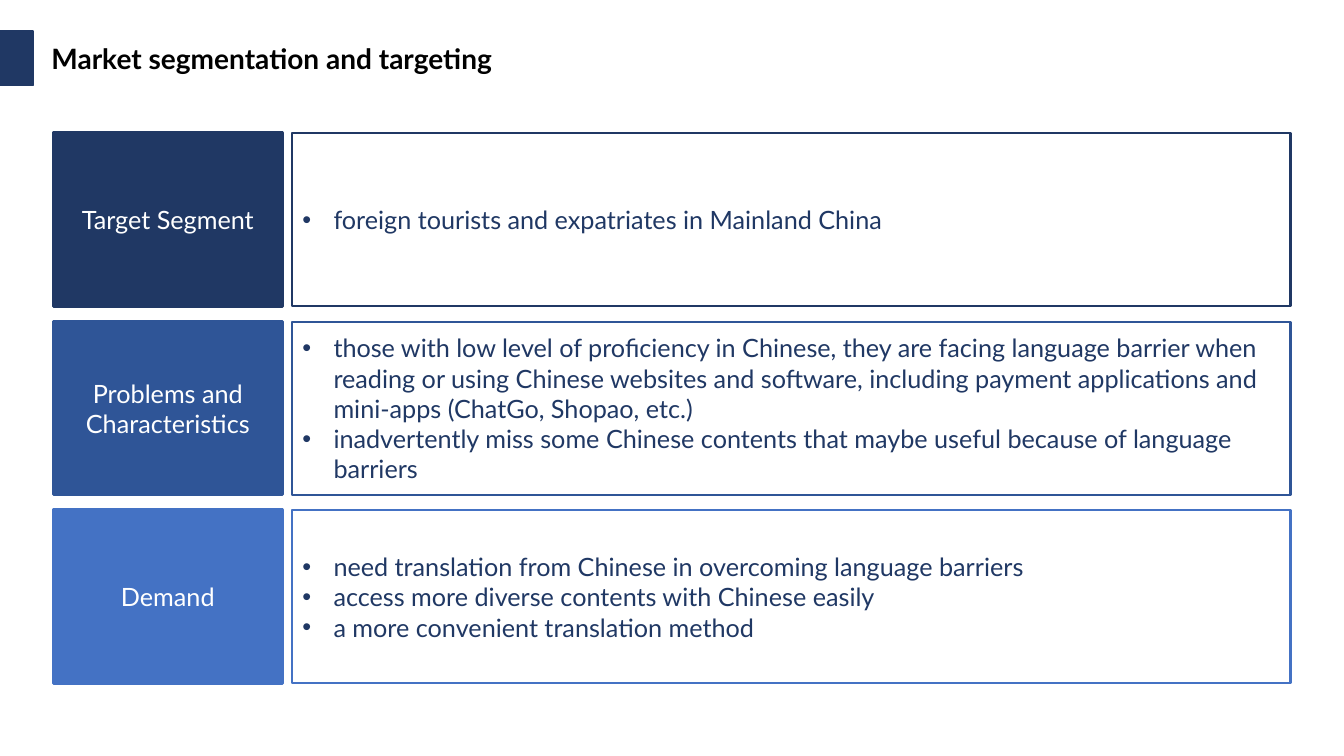
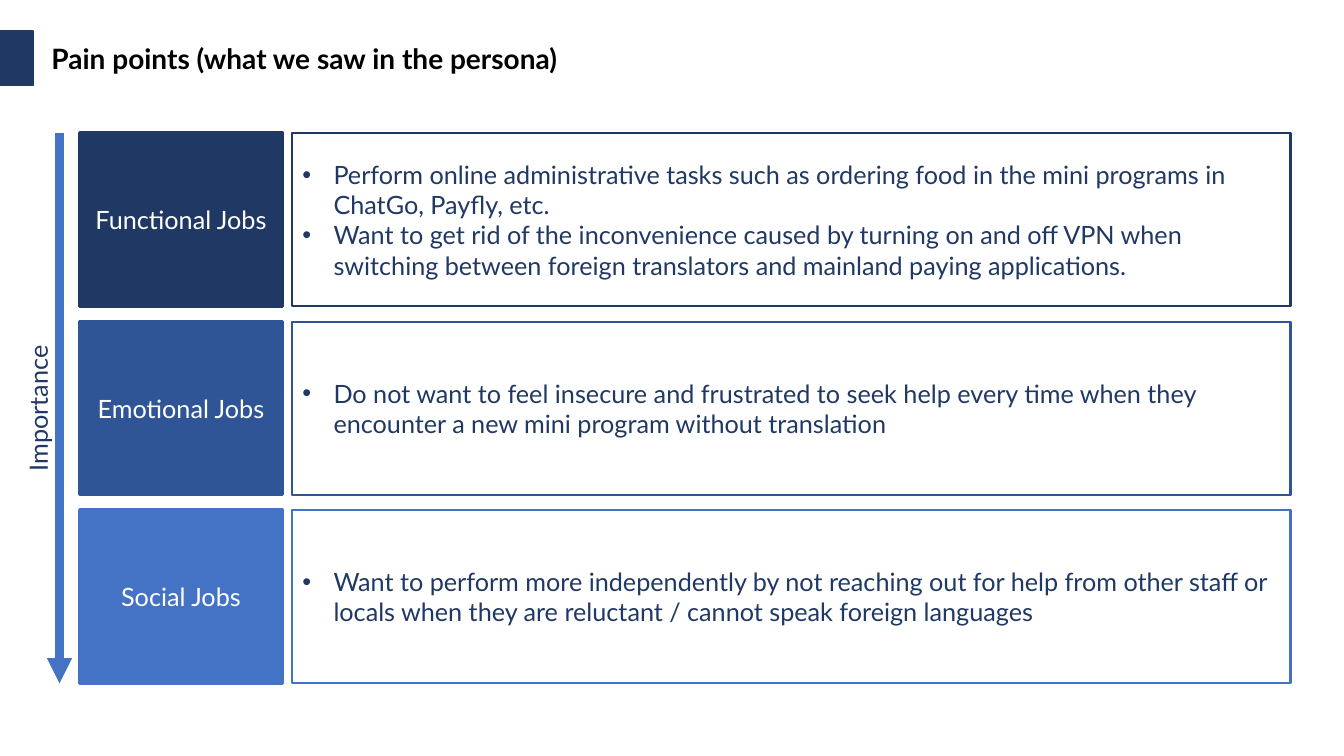
from lxml import etree
from pptx import Presentation
from pptx.dml.color import RGBColor
from pptx.enum.shapes import MSO_CONNECTOR, MSO_SHAPE
from pptx.enum.text import MSO_ANCHOR, MSO_AUTO_SIZE, PP_ALIGN
from pptx.oxml.ns import qn
from pptx.util import Inches, Pt

RECT = MSO_SHAPE.RECTANGLE
STRAIGHT = MSO_CONNECTOR.STRAIGHT
MIDDLE = MSO_ANCHOR.MIDDLE
FIT = MSO_AUTO_SIZE.SHAPE_TO_FIT_TEXT
LEFT, CENTER = PP_ALIGN.LEFT, PP_ALIGN.CENTER

NAVY = RGBColor(0x20, 0x38, 0x64)
BLUE = RGBColor(0x2F, 0x55, 0x97)
SKY = RGBColor(0x44, 0x72, 0xC4)
WHITE = RGBColor(0xFF, 0xFF, 0xFF)
BLACK = RGBColor(0, 0, 0)
FONT = "Lato"

ROW_COLORS = [NAVY, BLUE, SKY]
ROW_TOP, ROW_HEIGHT, ROW_STEP = 1.32, 1.72, 1.87
BODY_LEFT, BODY_WIDTH = 2.9, 9.9
LABEL_RIGHT = 2.8

SLIDES = [
    ("Market segmentation and targeting", 6, 0.53, [
        ("Target Segment", [
            "foreign tourists and expatriates in Mainland China"]),
        ("Problems and Characteristics", [
            "those with low level of proficiency in Chinese, they are facing "
            "language barrier when reading or using Chinese websites and software, "
            "including payment applications and mini-apps (ChatGo, Shopao, etc.)",
            "inadvertently miss some Chinese contents that maybe useful because "
            "of language barriers"]),
        ("Demand", [
            "need translation from Chinese in overcoming language barriers",
            "access more diverse contents with Chinese easily",
            "a more convenient translation method"]),
    ]),
    ("Pain points (what we saw in the persona)", 6.88, 0.79, [
        ("Functional Jobs", [
            "Perform online administrative tasks such as ordering food in the mini "
            "programs in ChatGo, Payfly, etc.",
            "Want to get rid of the inconvenience caused by turning on and off VPN "
            "when switching between foreign translators and mainland paying "
            "applications."]),
        ("Emotional Jobs", [
            "Do not want to feel insecure and frustrated to seek help every time "
            "when they encounter a new mini program without translation"]),
        ("Social Jobs", [
            "Want to perform more independently by not reaching out for help from "
            "other staff or locals when they are reluctant / cannot speak foreign "
            "languages"]),
    ]),
]


def add_box(slide, left, top, width, height, color, line_width, filled=True):
    sp = slide.shapes.add_shape(
        RECT, Inches(left), Inches(top), Inches(width), Inches(height))
    sp.shadow.inherit = False
    if filled:
        sp.fill.solid()
        sp.fill.fore_color.rgb = color
    else:
        sp.fill.background()
    sp.line.color.rgb = color
    sp.line.width = Pt(line_width)
    sp.text_frame.vertical_anchor = MIDDLE
    return sp


def write(tf, lines, color, size=18, align=CENTER, bold=False, bullets=False):
    tf.word_wrap = True
    for i, line in enumerate(lines):
        p = tf.paragraphs[0] if i == 0 else tf.add_paragraph()
        p.text = line
        p.alignment = align
        if bullets:
            pPr = p._p.get_or_add_pPr()
            pPr.set("marL", str(Inches(0.31)))
            pPr.set("indent", str(-Inches(0.31)))
            etree.SubElement(pPr, qn("a:buFont"), typeface="Arial")
            etree.SubElement(pPr, qn("a:buChar"), char="•")
        r = p.runs[0]
        r.font.name = FONT
        r.font.size = Pt(size)
        r.font.bold = bold
        r.font.color.rgb = color


prs = Presentation()
prs.slide_width = Inches(13.33)
prs.slide_height = Inches(7.5)

for heading, title_width, label_left, rows in SLIDES:
    slide = prs.slides.add_slide(prs.slide_layouts[5])
    add_box(slide, 0, 0.31, 0.33, 0.54, NAVY, 1)

    title = slide.shapes.title
    title.left, title.top = Inches(0.41), Inches(0.36)
    title.width, title.height = Inches(title_width), Inches(0.44)
    title.text_frame.auto_size = FIT
    write(title.text_frame, [heading], BLACK, size=20, align=LEFT, bold=True)

    for i, (label, points) in enumerate(rows):
        top = ROW_TOP + i * ROW_STEP
        color = ROW_COLORS[i]
        sp = add_box(slide, label_left, top, LABEL_RIGHT - label_left, ROW_HEIGHT,
                     color, 2.25)
        write(sp.text_frame, [label], WHITE)
        sp = add_box(slide, BODY_LEFT, top, BODY_WIDTH, ROW_HEIGHT,
                     color, 1.5, filled=False)
        write(sp.text_frame, points, NAVY, align=LEFT, bullets=True)

slide = prs.slides[1]
bottom = ROW_TOP + 2 * ROW_STEP + ROW_HEIGHT
arrow = slide.shapes.add_connector(
    STRAIGHT, Inches(0.59), Inches(ROW_TOP), Inches(0.59), Inches(bottom))
arrow.line.color.rgb = SKY
arrow.line.width = Pt(6)
etree.SubElement(arrow.line._get_or_add_ln(), qn("a:tailEnd"), type="triangle")
etree.SubElement(arrow._element.spPr, qn("a:effectLst"))

sp = slide.shapes.add_textbox(Inches(-0.42), Inches(3.85), Inches(1.59), Inches(0.4))
sp.rotation = 270
sp.text_frame.auto_size = FIT
write(sp.text_frame, ["Importance"], NAVY)

prs.save("out.pptx")
